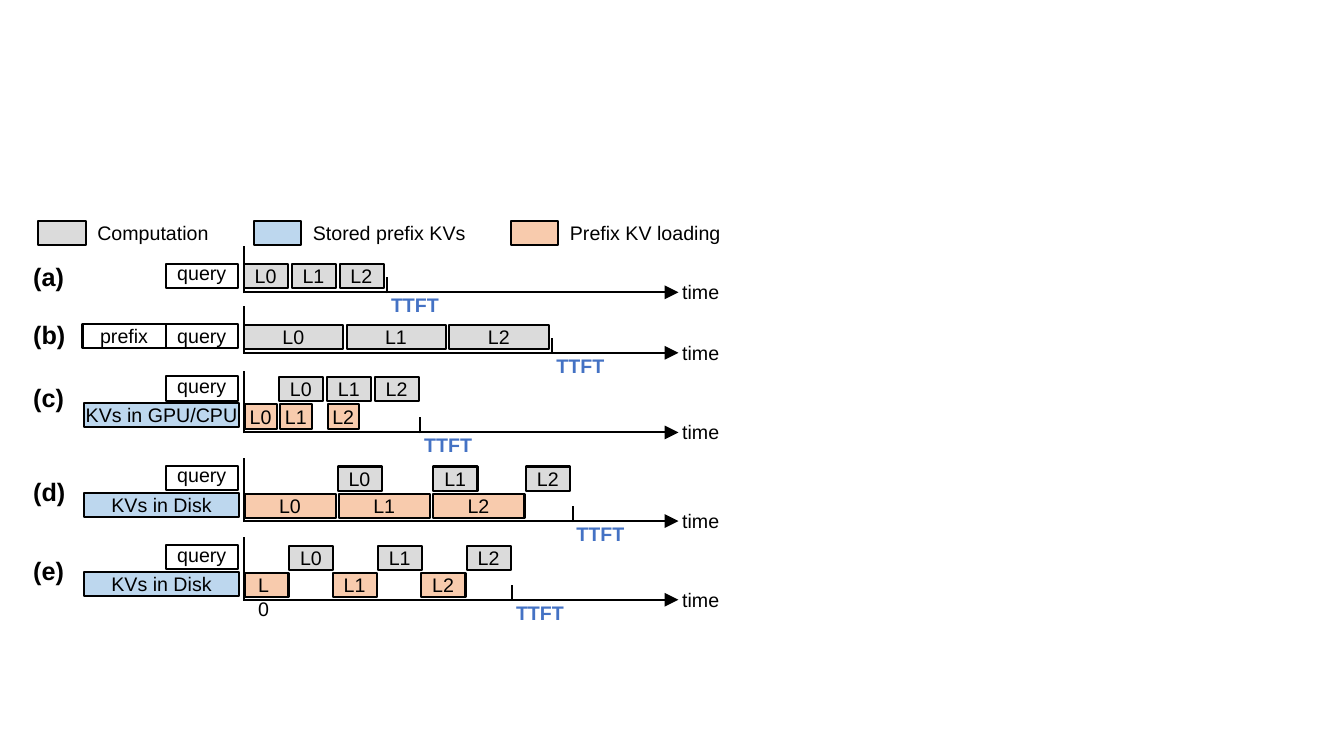
from dataclasses import dataclass

from lxml import etree
from pptx import Presentation
from pptx.dml.color import RGBColor
from pptx.enum import shapes, text
from pptx.oxml import ns
from pptx.util import Pt


@dataclass(frozen=True)
class Theme:
    """Colours, font and sizes of the timing chart."""
    font: str = "Arial"
    body: int = 14
    head: int = 18
    line: float = 1.5
    high: float = 17.3
    ink: str = "000000"
    mark: str = "4472C4"
    comp: str = "DBDBDB"
    store: str = "BDD7EE"
    load: str = "F8CBAD"


class Chart:
    """Draws timing elements on one slide in one style."""

    def __init__(self, slide, theme):
        self.slide, self.theme = slide, theme

    def text(self, words, x, y, w, h=24.5, size=None, color=None, bold=False,
             align=text.PP_ALIGN.LEFT, wrap=False, side=7.2, space=None):
        frame = self.slide.shapes.add_textbox(Pt(x), Pt(y), Pt(w), Pt(h)).text_frame
        frame.word_wrap = wrap
        frame.auto_size = text.MSO_AUTO_SIZE.SHAPE_TO_FIT_TEXT
        frame.margin_left = frame.margin_right = Pt(side)
        para = frame.paragraphs[0]
        para.alignment = align
        if space:
            para.line_spacing = Pt(space)
        run = para.add_run()
        run.text = words
        run.font.name = self.theme.font
        run.font.size = Pt(size or self.theme.body)
        run.font.bold = bold
        run.font.color.rgb = RGBColor.from_string(color or self.theme.ink)

    def box(self, x, y, w, fill=None):
        shape = self.slide.shapes.add_shape(
            shapes.MSO_SHAPE.RECTANGLE, Pt(x), Pt(y), Pt(w), Pt(self.theme.high))
        shape.shadow.inherit = False
        if fill:
            shape.fill.solid()
            shape.fill.fore_color.rgb = RGBColor.from_string(fill)
        else:
            shape.fill.background()
        shape.line.color.rgb = RGBColor.from_string(self.theme.ink)
        shape.line.width = Pt(self.theme.line)

    def block(self, words, x, y, w, wide, fill=None, rise=3.5, **style):
        self.box(x, y, w, fill)
        self.text(words, x + (w - wide) / 2, y - rise, wide, **style)

    def line(self, x1, y1, x2, y2, arrow=False):
        line = self.slide.shapes.add_connector(
            shapes.MSO_CONNECTOR.STRAIGHT, Pt(x1), Pt(y1), Pt(x2), Pt(y2))
        line.line.color.rgb = RGBColor.from_string(self.theme.ink)
        line.line.width = Pt(self.theme.line)
        if arrow:
            etree.SubElement(line.line._ln, ns.qn("a:tailEnd"),
                             type="triangle", w="lg", len="lg")
        etree.SubElement(line._element.spPr, ns.qn("a:effectLst"))

    def axis(self, base, tall, end):
        self.line(174.2, base, 484.6, base, arrow=True)
        self.text("time", 480.2, base - 12.2, 41)
        self.line(174.2, base + 0.7, 174.2, base + 0.7 - tall)
        self.line(end, base + 0.7, end, base - 10.8)
        self.text("TTFT", end - 4.3, base - 2.9, 49, color=self.theme.mark, bold=True)

    def key(self, words, x, w, fill):
        self.box(x, 157.7, 33.8, fill)
        self.text(words, x + 35, 154.1, w)


def steps(start, gap):
    return [start + gap * i for i in range(3)]


def main():
    prs = Presentation()
    prs.slide_width, prs.slide_height = Pt(960), Pt(540)
    theme = Theme()
    chart = Chart(prs.slides.add_slide(prs.slide_layouts[6]), theme)

    for words, x, w, fill in [("Computation", 27.4, 94.3, theme.comp),
                              ("Stored prefix KVs", 181.4, 124.6, theme.store),
                              ("Prefix KV loading", 365, 123.1, theme.load)]:
        chart.key(words, x, w, fill)

    lane = 19.6
    rows = [
        ("(a)", 182.9, 208.8, 20, 33.8, 276.5, None, steps(174.2, 34.2), 31.5, [], 0),
        ("(b)", 224.6, 252, 20, 33.8, 394.6, None, steps(174.2, 73.4), 71, [], 0),
        ("(c)", 269.3, 308.9, 20, 44.6, 300.2, "KVs in GPU/CPU",
         steps(199.4, 34.2), 31.5, [175, 200.2, 234], 22.7),
        ("(d)", 337, 372.2, 19.4, 45.4, 409, "KVs in Disk",
         [241.2, 309.6, 375.8], 31.5, steps(174.6, 67.3), 65.5),
        ("(e)", 393.1, 428.4, 19, 45.4, 365.8, "KVs in Disk",
         steps(206.6, 63.4), 31.5, steps(174.6, 63.2), 31.5),
    ]
    for name, top, base, drop, tall, end, store, comps, cw, loads, lw in rows:
        low = base - drop
        high = low - lane if store else low
        chart.text(name, 16.6, top, 44, 28.8, size=theme.head, bold=True)
        chart.block("query", 118.8, high - 0.4, 51.1, 49.7,
                    rise=3.8 if name == "(b)" else 5.4)
        if name == "(b)":
            chart.block("prefix", 59, high - 0.4, 59.8, 49, rise=3.4)
        if store:
            chart.block(store, 60.3, low - 0.9, 110.2, 123.1, theme.store, rise=2.2,
                        align=text.PP_ALIGN.CENTER, wrap=True, side=0, space=15.6)
        for i, x in enumerate(comps):
            chart.block(f"L{i}", x, high, cw, 30.2, theme.comp)
        for i, x in enumerate(loads):
            split = name == "(e)" and i == 0
            chart.block(f"L{i}", x, low, lw, 26 if split else 30.2, theme.load, wrap=split)
        chart.axis(base, tall, end)

    prs.save("out.pptx")


if __name__ == "__main__":
    main()
